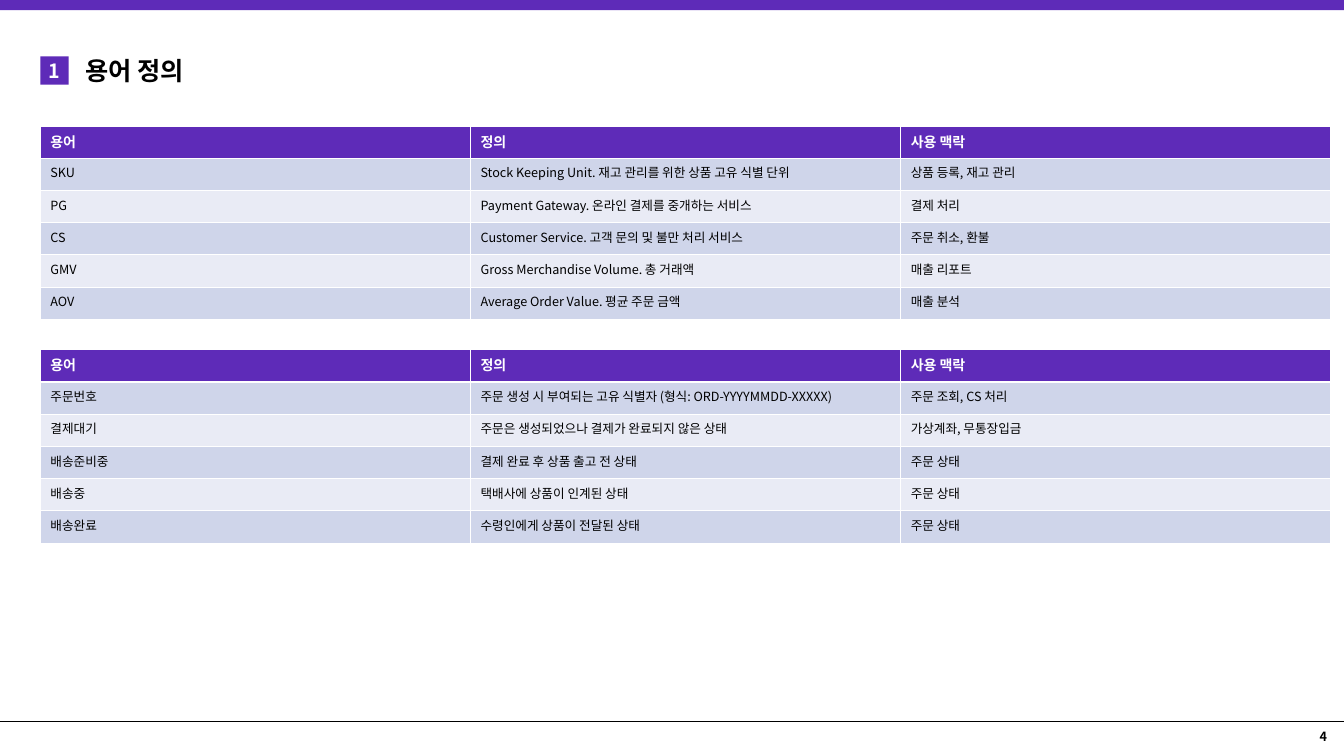
from lxml import etree
from pptx import Presentation
from pptx.dml.color import RGBColor
from pptx.enum.shapes import MSO_CONNECTOR, MSO_SHAPE
from pptx.enum.text import MSO_ANCHOR, PP_ALIGN
from pptx.oxml.ns import qn
from pptx.util import Inches, Pt

RECTANGLE = MSO_SHAPE.RECTANGLE
STRAIGHT = MSO_CONNECTOR.STRAIGHT
TOP, MIDDLE = MSO_ANCHOR.TOP, MSO_ANCHOR.MIDDLE
LEFT, CENTER, RIGHT = PP_ALIGN.LEFT, PP_ALIGN.CENTER, PP_ALIGN.RIGHT

FONT = "Noto Sans CJK KR"
COLORS = {
    "accent": "5E2BB8",
    "text": "000000",
    "light": "FFFFFF",
    "odd_row": "CFD5EA",
    "even_row": "E9EBF5",
}
SLIDE_WIDTH, SLIDE_HEIGHT = 13.33, 7.5
MARGIN = 0.4
TABLE_WIDTH = 12.8
ROW_HEIGHT = 0.32
TABLE_TOP, TABLE_GAP = 1.25, 0.3
FOOTER_TOP = 7.16

HEADER = ("용어", "정의", "사용 맥락")
BUSINESS_TERMS = [
    ("SKU", "Stock Keeping Unit. 재고 관리를 위한 상품 고유 식별 단위", "상품 등록, 재고 관리"),
    ("PG", "Payment Gateway. 온라인 결제를 중개하는 서비스", "결제 처리"),
    ("CS", "Customer Service. 고객 문의 및 불만 처리 서비스", "주문 취소, 환불"),
    ("GMV", "Gross Merchandise Volume. 총 거래액", "매출 리포트"),
    ("AOV", "Average Order Value. 평균 주문 금액", "매출 분석"),
]
ORDER_TERMS = [
    ("주문번호", "주문 생성 시 부여되는 고유 식별자 (형식: ORD-YYYYMMDD-XXXXX)", "주문 조회, CS 처리"),
    ("결제대기", "주문은 생성되었으나 결제가 완료되지 않은 상태", "가상계좌, 무통장입금"),
    ("배송준비중", "결제 완료 후 상품 출고 전 상태", "주문 상태"),
    ("배송중", "택배사에 상품이 인계된 상태", "주문 상태"),
    ("배송완료", "수령인에게 상품이 전달된 상태", "주문 상태"),
]


def color(name):
    """Return the named palette colour."""
    return RGBColor.from_string(COLORS[name])


def inches(box):
    """Convert a box of inch values to lengths."""
    return [Inches(value) for value in box]


def write(text_frame, text, size, color_name, bold=True, align=LEFT):
    """Fill a text frame with one formatted paragraph."""
    text_frame.text = text
    paragraph = text_frame.paragraphs[0]
    paragraph.alignment = align
    for run in paragraph.runs:
        run.font.size = Pt(size)
        run.font.bold = bold
        run.font.color.rgb = color(color_name)
        run.font.name = FONT
        properties = run.font._element
        etree.SubElement(properties, qn("a:ea"), typeface=FONT)


def add_block(slide, box):
    """Add a plain rectangle in the accent colour."""
    shape = slide.shapes.add_shape(RECTANGLE, *inches(box))
    shape.shadow.inherit = False
    shape.fill.solid()
    shape.fill.fore_color.rgb = color("accent")
    shape.line.fill.background()
    return shape


def add_label(slide, box, text, size, align=LEFT, anchor=TOP):
    """Add a bold text box."""
    text_frame = slide.shapes.add_textbox(*inches(box)).text_frame
    text_frame.word_wrap = True
    text_frame.vertical_anchor = anchor
    write(text_frame, text, size, "text", align=align)


def add_frame(slide, page_number):
    """Draw the top band, the footer rule and the page number."""
    add_block(slide, (0, 0, SLIDE_WIDTH, 0.1))
    rule = slide.shapes.add_connector(
        STRAIGHT, *inches((0, FOOTER_TOP, SLIDE_WIDTH, FOOTER_TOP)))
    rule.line.color.rgb = color("text")
    rule.line.width = Pt(0.5)
    etree.SubElement(rule._element.spPr, qn("a:effectLst"))
    number_box = (SLIDE_WIDTH - 1.79, FOOTER_TOP, 1.72, 0.29)
    add_label(slide, number_box, page_number, 9, RIGHT, MIDDLE)


def add_heading(slide, box, number, title):
    """Draw the numbered badge and the section title inside the box."""
    left, top, width, height = box
    badge = add_block(slide, (left, top + 0.06, 0.28, 0.28))
    badge.text_frame.word_wrap = False
    badge.text_frame.vertical_anchor = MIDDLE
    write(badge.text_frame, number, 14, "light", align=CENTER)
    add_label(slide, (left + 0.35, top, width - 0.35, height), title, 18)


def add_term_table(slide, box, terms):
    """Draw a table of terms with a header and banded rows."""
    rows = [HEADER, *terms]
    table = slide.shapes.add_table(len(rows), len(HEADER), *inches(box)).table
    for row_index, row in enumerate(rows):
        is_header = row_index == 0
        band = "odd_row" if row_index % 2 else "even_row"
        for column_index, text in enumerate(row):
            cell = table.cell(row_index, column_index)
            cell.fill.solid()
            cell.fill.fore_color.rgb = color("accent" if is_header else band)
            write(cell.text_frame, text, 10 if is_header else 9,
                  "light" if is_header else "text", bold=is_header)


def build_glossary_slide(presentation):
    """Build the slide that defines the terms."""
    slide = presentation.slides.add_slide(presentation.slide_layouts[6])
    add_frame(slide, "4")
    add_heading(slide, (MARGIN, 0.5, 4.35, 0.4), "1", "용어 정의")
    top = TABLE_TOP
    for terms in (BUSINESS_TERMS, ORDER_TERMS):
        height = ROW_HEIGHT * (len(terms) + 1)
        add_term_table(slide, (MARGIN, top, TABLE_WIDTH, height), terms)
        top += height + TABLE_GAP


def main():
    """Create and save the presentation."""
    presentation = Presentation()
    presentation.slide_width = Inches(SLIDE_WIDTH)
    presentation.slide_height = Inches(SLIDE_HEIGHT)
    build_glossary_slide(presentation)
    presentation.save("out.pptx")


if __name__ == "__main__":
    main()
